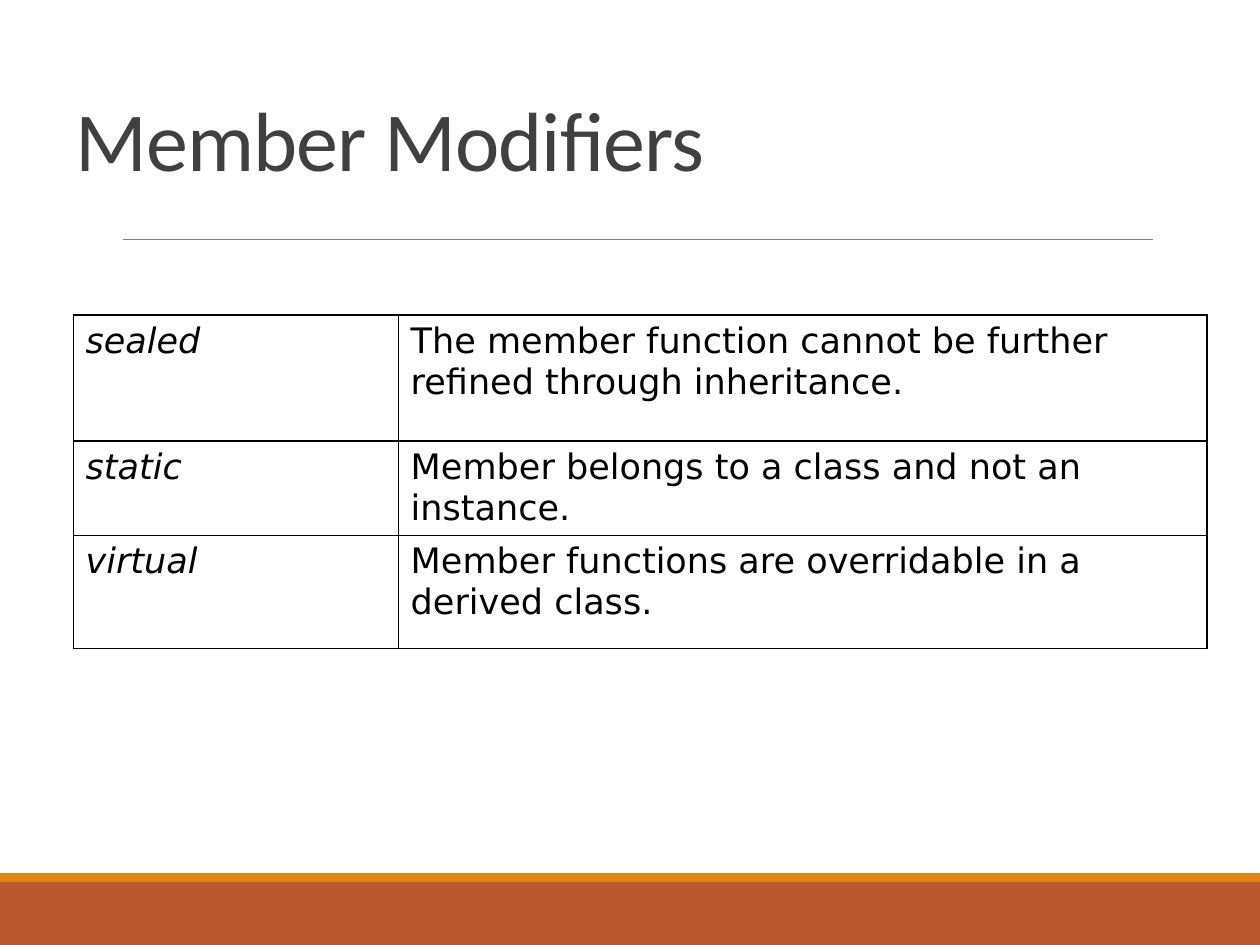
from lxml.etree import SubElement
from pptx import Presentation
from pptx.dml.color import RGBColor
from pptx.enum.shapes import MSO_CONNECTOR, MSO_SHAPE
from pptx.enum.text import MSO_ANCHOR, PP_ALIGN
from pptx.oxml.ns import qn
from pptx.util import Inches, Pt

MODIFIERS = [
    ("sealed", "The member function cannot be further refined through inheritance."),
    ("static", "Member belongs to a class and not an instance."),
    ("virtual", "Member functions are overridable in a derived class."),
]
COLUMN_WIDTHS = (2.58, 6.42)
ROW_HEIGHTS = (1, 0.67, 0.9)


def colour(value):
    """Turn a hex string into a colour."""
    return RGBColor.from_string(value)


def style_run(r, font, size, hex_colour, italic=False):
    """Format one run of text."""
    r.font.name, r.font.size, r.font.italic = font, Pt(size), italic
    r.font.color.rgb = colour(hex_colour)


def add_band(s, box, fill):
    """Add a plain filled rectangle in the box."""
    sp = s.shapes.add_shape(MSO_SHAPE.RECTANGLE, *map(Inches, box))
    sp.shadow.inherit = False
    sp.fill.solid()
    sp.fill.fore_color.rgb = colour(fill)
    sp.line.fill.background()


def add_rule(s, left, top, width):
    """Add the thin grey line under the title."""
    ends = left, top, left + width, top
    line = s.shapes.add_connector(MSO_CONNECTOR.STRAIGHT, *map(Inches, ends))
    line.line.color.rgb = colour("808080")
    line.line.width = Pt(0.5)
    SubElement(line._element.spPr, qn("a:effectLst"))


def set_title(s, box, text):
    """Place and format the title placeholder."""
    sp = s.shapes.title
    sp.left, sp.top, sp.width, sp.height = map(Inches, box)
    tf = sp.text_frame
    tf.text = text
    tf.word_wrap = True
    tf.vertical_anchor = MSO_ANCHOR.BOTTOM
    p = tf.paragraphs[0]
    p.alignment, p.line_spacing = PP_ALIGN.LEFT, 0.85
    r = p.runs[0]
    style_run(r, "Calibri", 48, "404040")
    r.font._element.set("spc", "-50")


def add_borders(cell, hex_colour, width):
    """Draw all four borders of a cell."""
    tc_pr = cell._tc.get_or_add_tcPr()
    for index, side in enumerate(("lnL", "lnR", "lnT", "lnB")):
        ln = tc_pr.makeelement(qn(f"a:{side}"), {"w": str(Pt(width))})
        fill = SubElement(ln, qn("a:solidFill"))
        SubElement(fill, qn("a:srgbClr"), val=hex_colour)
        tc_pr.insert(index, ln)


def add_modifier_table(s, left, top):
    """Add the table of modifiers and their meanings."""
    width, height = sum(COLUMN_WIDTHS), sum(ROW_HEIGHTS)
    table = s.shapes.add_table(len(MODIFIERS), len(COLUMN_WIDTHS),
                               *map(Inches, (left, top, width, height))).table
    table.first_row = table.horz_banding = False
    for column, column_width in zip(table.columns, COLUMN_WIDTHS):
        column.width = Inches(column_width)
    for row, row_height, texts in zip(table.rows, ROW_HEIGHTS, MODIFIERS):
        row.height = Inches(row_height)
        for index, (cell, text) in enumerate(zip(row.cells, texts)):
            cell.text = text
            cell.fill.background()
            style_run(cell.text_frame.paragraphs[0].runs[0],
                      "DejaVu Sans", 20, "000000", italic=index == 0)
            add_borders(cell, "000000", 0.75)


def main():
    """Build and save the slide."""
    prs = Presentation()
    prs.slide_width, prs.slide_height = Inches(10), Inches(7.5)
    s = prs.slides.add_slide(prs.slide_layouts[5])
    add_band(s, (0, 7, 10, 0.5), "BD582C")
    add_band(s, (0, 6.93, 10, 0.07), "E48312")
    add_rule(s, 0.98, 1.9, 8.17)
    set_title(s, (0.5, 0.3, 9, 1.25), "Member Modifiers")
    add_modifier_table(s, 0.58, 2.5)
    prs.save("out.pptx")


if __name__ == "__main__":
    main()
